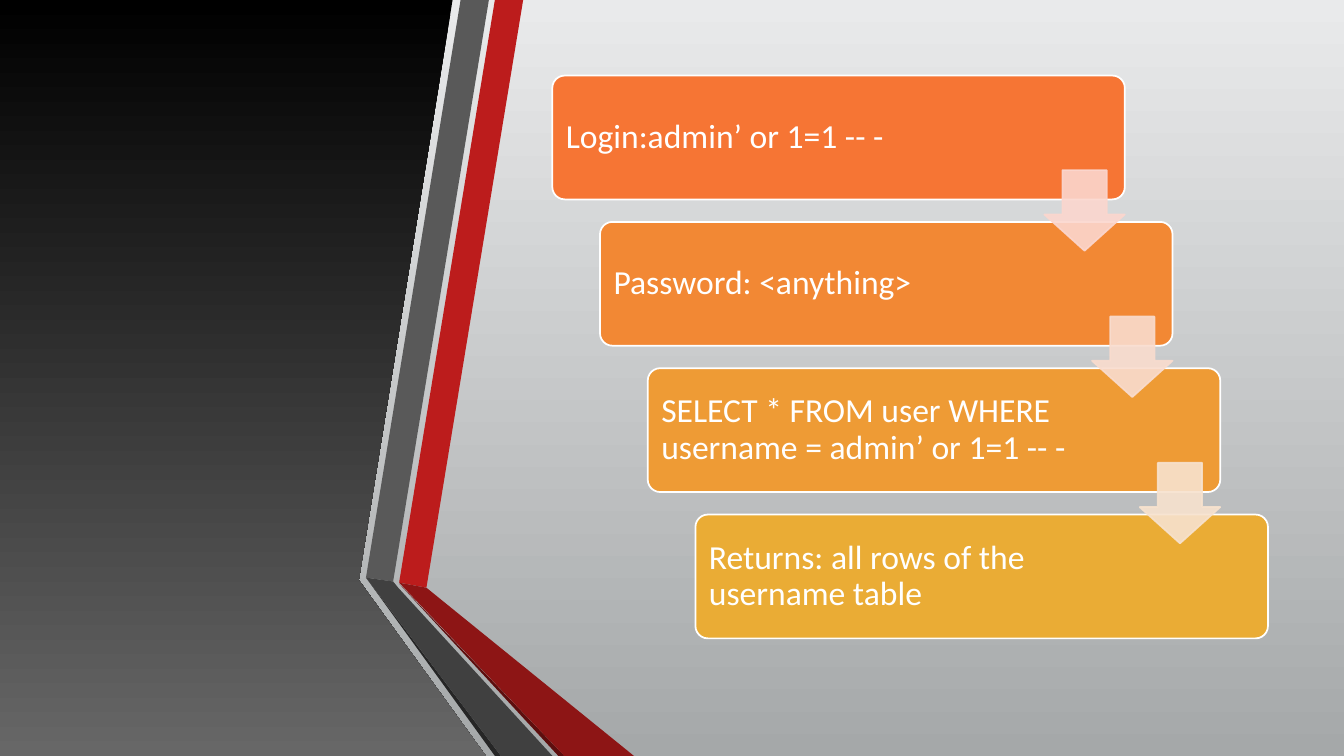
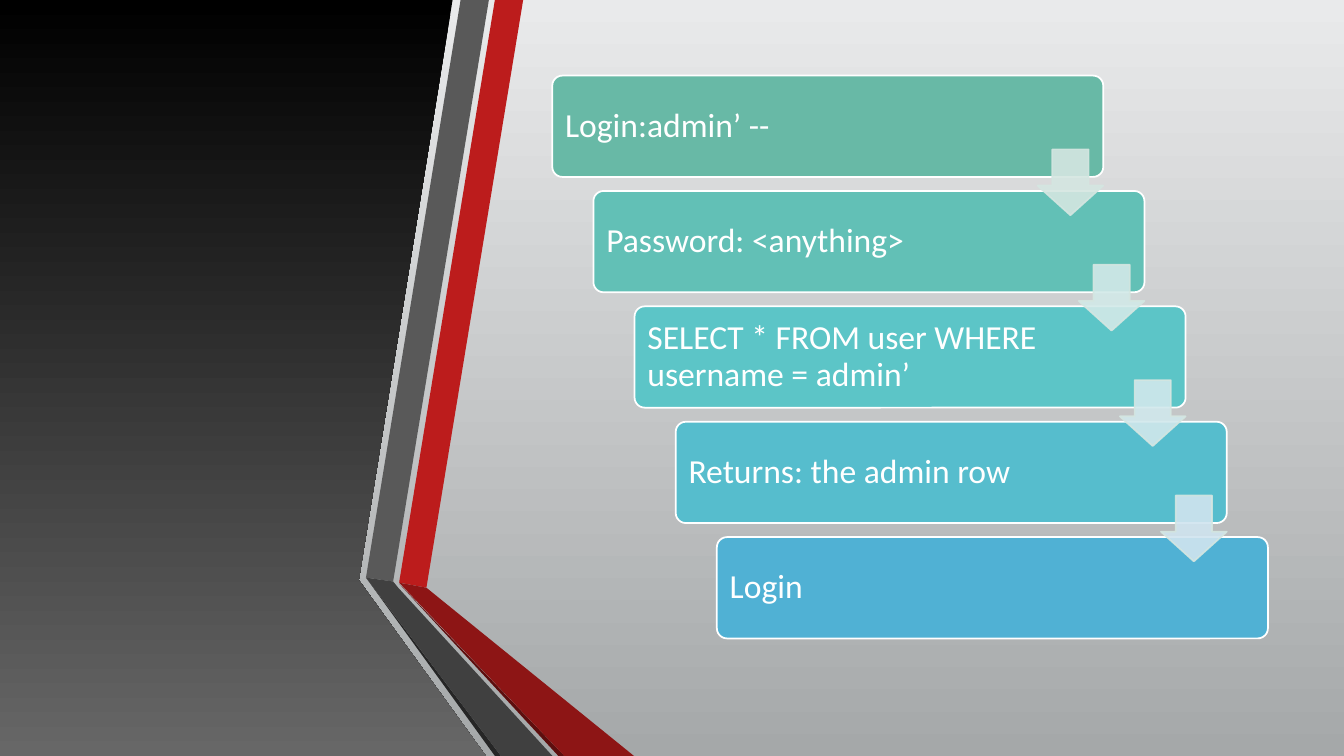
from lxml import etree
from pptx import Presentation
from pptx.dml.color import RGBColor
from pptx.enum.shapes import MSO_SHAPE
from pptx.enum.text import MSO_ANCHOR, PP_ALIGN
from pptx.oxml.ns import qn
from pptx.util import Pt

ROUNDED = MSO_SHAPE.ROUNDED_RECTANGLE
DOWN_ARROW = MSO_SHAPE.DOWN_ARROW
MIDDLE = MSO_ANCHOR.MIDDLE
LEFT = PP_ALIGN.LEFT

# Shared colours
WHITE = RGBColor(0xFF, 0xFF, 0xFF)
BLACK = RGBColor(0x00, 0x00, 0x00)
PANEL_GREY = RGBColor(0x67, 0x67, 0x67)
SKY_LIGHT = RGBColor(0xE9, 0xEA, 0xEB)
SKY_DARK = RGBColor(0xA5, 0xA8, 0xA9)
RED = RGBColor(0xBC, 0x1C, 0x1C)
RED_FOLD = RGBColor(0x8D, 0x15, 0x15)
RED_EDGE = RGBColor(0x5E, 0x0E, 0x0E)
GREY = RGBColor(0x59, 0x59, 0x59)
GREY_FOLD = RGBColor(0x40, 0x40, 0x40)
GREY_EDGE = RGBColor(0x26, 0x26, 0x26)

# Box colours, then arrow colours, of each staircase
ORANGES = [RGBColor(0xF6, 0x75, 0x34), RGBColor(0xF2, 0x88, 0x34),
           RGBColor(0xEE, 0x9B, 0x35), RGBColor(0xEA, 0xAC, 0x35)]
PEACHES = [RGBColor(0xFB, 0xD6, 0xCE), RGBColor(0xF9, 0xDC, 0xCE),
           RGBColor(0xF7, 0xE2, 0xCE)]
TEALS = [RGBColor(0x68, 0xB9, 0xA6), RGBColor(0x62, 0xC0, 0xB6),
         RGBColor(0x5C, 0xC5, 0xC7), RGBColor(0x56, 0xBD, 0xCD),
         RGBColor(0x50, 0xB1, 0xD4)]
MISTS = [RGBColor(0xD4, 0xE6, 0xE1), RGBColor(0xD2, 0xE9, 0xE8),
         RGBColor(0xD1, 0xE8, 0xEC), RGBColor(0xD0, 0xE4, 0xEF)]

# Outlines in points
PANEL = [(0, 0), (323.3, 0), (256.3, 414.4), (347, 540), (0, 540)]
BANDS = [
    (RED, [(285.1, 416.2), (304.6, 419.8), (373.7, 0), (353.5, 0)]),
    (GREY, [(349.2, 0), (329, 0), (261.4, 412.6), (280.8, 415.4)]),
    (GREY_EDGE, [(261.4, 412.6), (353.5, 540), (357.8, 540)]),
    (RED_EDGE, [(285.1, 416.9), (398.9, 540), (403.2, 540)]),
    (RED_FOLD, [(285.1, 416.2), (403.2, 540), (452.9, 540), (304.6, 419.8)]),
    (GREY_FOLD, [(394.6, 540), (284.4, 419.8), (280.8, 415.4),
                 (261.4, 412.6), (357.8, 540)]),
]

# Area filled by a staircase, in points
AREA_LEFT, AREA_TOP, AREA_WIDTH, AREA_HEIGHT = 394.5, 54, 511.2, 402


class StairDeck:
    """Holds the style and the current page."""

    font = "Calibri"
    text_size = Pt(24)
    inset = Pt(7.2)
    line_width = Pt(1.25)
    arrow_alpha = 90

    def __init__(self):
        self.deck = Presentation()
        self.deck.slide_width = Pt(960)
        self.deck.slide_height = Pt(540)
        self.blank = self.deck.slide_layouts.get_by_name("Blank")
        self.gradient(self.deck.slide_master.background.fill,
                      SKY_LIGHT, SKY_DARK)
        self.page = None

    def gradient(self, fill, top, bottom):
        fill.gradient()
        fill.gradient_angle = 270
        for stop, color in zip(fill.gradient_stops, (top, bottom)):
            stop.color.rgb = color

    def new_page(self):
        self.page = self.deck.slides.add_slide(self.blank)
        panel = self.outline(PANEL)
        self.gradient(panel.fill, BLACK, PANEL_GREY)
        for color, points in BANDS:
            band = self.outline(points)
            band.fill.solid()
            band.fill.fore_color.rgb = color

    def outline(self, points):
        corners = [(Pt(x), Pt(y)) for x, y in points]
        builder = self.page.shapes.build_freeform(*corners[0])
        builder.add_line_segments(corners[1:], close=True)
        shape = builder.convert_to_shape()
        shape.shadow.inherit = False
        shape.line.fill.background()
        return shape

    def preset(self, kind, left, top, width, height, fill, line, adjustments):
        shape = self.page.shapes.add_shape(
            kind, Pt(left), Pt(top), Pt(width), Pt(height))
        shape.shadow.inherit = False
        shape.fill.solid()
        shape.fill.fore_color.rgb = fill
        shape.line.color.rgb = line
        shape.line.width = self.line_width
        for index, value in enumerate(adjustments):
            shape.adjustments[index] = value
        return shape

    def box(self, left, top, width, height, color, text, right_inset):
        box = self.preset(ROUNDED, left, top, width, height,
                          color, WHITE, [0.1])
        frame = box.text_frame
        frame.word_wrap = True
        frame.vertical_anchor = MIDDLE
        frame.margin_left = frame.margin_top = frame.margin_bottom = self.inset
        frame.margin_right = Pt(right_inset)
        para = frame.paragraphs[0]
        para.alignment = LEFT
        para.line_spacing = 0.9
        span = para.add_run()
        span.text = text
        span.font.name = self.font
        span.font.size = self.text_size
        span.font.color.rgb = WHITE

    def arrow(self, left, top, size, fill, line):
        arrow = self.preset(DOWN_ARROW, left, top, size, size,
                            fill, line, [0.55, 0.45])
        # Slight transparency of fill and line
        for color in arrow.element.spPr.xpath(".//a:srgbClr"):
            alpha = etree.SubElement(color, qn("a:alpha"))
            alpha.set("val", str(self.arrow_alpha * 1000))

    def staircase(self, texts, box_colors, arrow_colors, arrow_lines,
                  width_share, height_share, arrow_drop, right_inset):
        width = AREA_WIDTH * width_share
        height = AREA_HEIGHT * height_share
        steps = len(texts) - 1
        step_x = (AREA_WIDTH - width) / steps
        step_y = (AREA_HEIGHT - height) / steps
        corners = [(AREA_LEFT + i * step_x, AREA_TOP + i * step_y)
                   for i in range(len(texts))]
        for (left, top), color, text in zip(corners, box_colors, texts):
            self.box(left, top, width, height, color, text, right_inset)
        # Each arrow is flush with the right side of the box above it
        size = height * 0.65
        for (left, top), fill, line in zip(corners, arrow_colors, arrow_lines):
            self.arrow(left + width - size, top + arrow_drop, size, fill, line)


def main():
    stairs = StairDeck()

    # Login that returns every row
    stairs.new_page()
    stairs.staircase(
        ["Login:admin’ or 1=1 -- -",
         "Password: <anything>",
         "SELECT * FROM user WHERE username = admin’ or 1=1 -- -",
         "Returns: all rows of the username table"],
        ORANGES, PEACHES, PEACHES,
        width_share=0.8, height_share=0.22, arrow_drop=67.6, right_inset=98)

    # Login as the admin only
    stairs.new_page()
    stairs.staircase(
        ["Login:admin’ --",
         "Password: <anything>",
         "SELECT * FROM user WHERE username = admin’",
         "Returns: the admin row",
         "Login"],
        TEALS, MISTS, MISTS[:1] * len(MISTS),
        width_share=0.77, height_share=0.18, arrow_drop=52.7, right_inset=83.5)

    stairs.deck.save("out.pptx")


if __name__ == "__main__":
    main()
